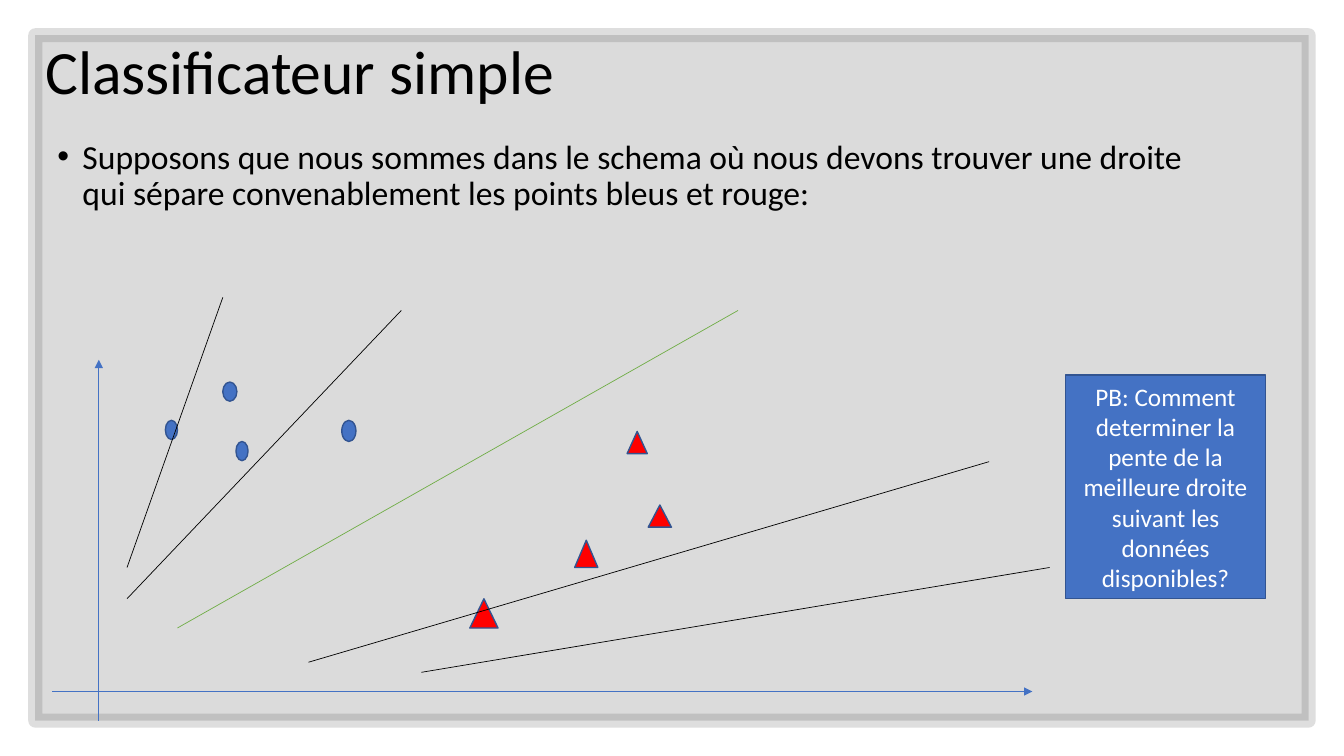
from lxml import etree
from pptx import Presentation
from pptx import util as u
from pptx.dml.color import RGBColor
from pptx.enum import shapes, text
from pptx.oxml.ns import qn

BLUE, NAVY, RED, GREEN, BLACK, WHITE = "4472C4", "325491", "FF0000", "70AD47", "000000", "FFFFFF"

deck = Presentation()
deck.slide_width, deck.slide_height = u.Inches(13.33), u.Inches(7.5)
page = deck.slides.add_slide(deck.slide_layouts[6])


def paint(target, color, opacity=100):
    target.solid()
    target.fore_color.rgb = RGBColor.from_string(color)
    if opacity < 100:
        tint = target._xPr.find(qn("a:solidFill"))[0]
        etree.SubElement(tint, qn("a:alpha"), val=str(opacity * 1000))


def write(box, words, size, color=BLACK, align=text.PP_ALIGN.LEFT,
          anchor=text.MSO_ANCHOR.TOP, spacing=1.0, bullet=False):
    frame = box.text_frame
    frame.word_wrap = True
    frame.vertical_anchor = anchor
    para = frame.paragraphs[0]
    para.alignment, para.line_spacing = align, spacing
    if bullet:
        props = para._p.get_or_add_pPr()
        props.set("marL", str(u.Inches(0.25)))
        props.set("indent", str(u.Inches(-0.25)))
        etree.SubElement(props, qn("a:buFont"), typeface="Arial")
        etree.SubElement(props, qn("a:buChar"), char="•")
    span = para.add_run()
    span.text = words
    span.font.name, span.font.size = "Calibri", u.Pt(size)
    span.font.color.rgb = RGBColor.from_string(color)


panel = page.shapes.add_shape(shapes.MSO_SHAPE.RECTANGLE, *map(u.Inches, (0.35, 0.35, 12.63, 6.8)))
panel.shadow.inherit = False
paint(panel.fill, BLACK, 14)
paint(panel.line.fill, "262626", 15)
panel.line.width = u.Pt(10)

title = page.shapes.add_textbox(*map(u.Inches, (0.35, 0.01, 11.5, 1.45)))
write(title, "Classificateur simple", 44, anchor=text.MSO_ANCHOR.MIDDLE, spacing=0.9)

body = page.shapes.add_textbox(*map(u.Inches, (0.47, 1.34, 11.5, 4.23)))
write(body, "Supposons que nous sommes dans le schema où nous devons trouver une droite "
      "qui sépare convenablement les points bleus et rouge:", 24, spacing=0.9, bullet=True)

kind = shapes.MSO_SHAPE
blue_points = [(2.21, 3.79, 0.14, 0.19), (1.64, 4.17, 0.12, 0.19),
               (3.39, 4.17, 0.14, 0.21), (2.34, 4.38, 0.12, 0.19)]
red_points = [(6.22, 4.28, 0.2, 0.22), (5.7, 5.36, 0.23, 0.27),
              (6.43, 5.01, 0.23, 0.22), (4.66, 5.94, 0.28, 0.29)]
problem = [(10.57, 3.72, 1.98, 2.22)]
for preset, color, places in [(kind.OVAL, BLUE, blue_points),
                              (kind.ISOSCELES_TRIANGLE, RED, red_points),
                              (kind.RECTANGLE, BLUE, problem)]:
    for place in places:
        shape = page.shapes.add_shape(preset, *map(u.Inches, place))
        shape.shadow.inherit = False
        paint(shape.fill, color)
        paint(shape.line.fill, NAVY)
        shape.line.width = u.Pt(1)
write(shape, "PB: Comment determiner la pente de la meilleure droite suivant les données disponibles?",
      18, WHITE, text.PP_ALIGN.CENTER, text.MSO_ANCHOR.MIDDLE)

axes = [(0.98, 7.15, 0.98, 3.57), (0.52, 6.86, 10.24, 6.86)]
best_line = [(1.76, 6.23, 7.32, 3.08)]
other_lines = [(1.26, 5.94, 3.98, 3.08), (3.06, 6.57, 9.81, 4.58),
               (1.26, 5.63, 2.21, 2.95), (4.18, 6.67, 10.41, 5.63)]
for color, arrow, routes in [(BLUE, True, axes), (GREEN, False, best_line), (BLACK, False, other_lines)]:
    for route in routes:
        line = page.shapes.add_connector(shapes.MSO_CONNECTOR.STRAIGHT, *map(u.Inches, route))
        paint(line.line.fill, color)
        line.line.width = u.Pt(0.5)
        if arrow:
            etree.SubElement(line.line._get_or_add_ln(), qn("a:tailEnd"), type="triangle")
        etree.SubElement(line._element.spPr, qn("a:effectLst"))

deck.save("out.pptx")
